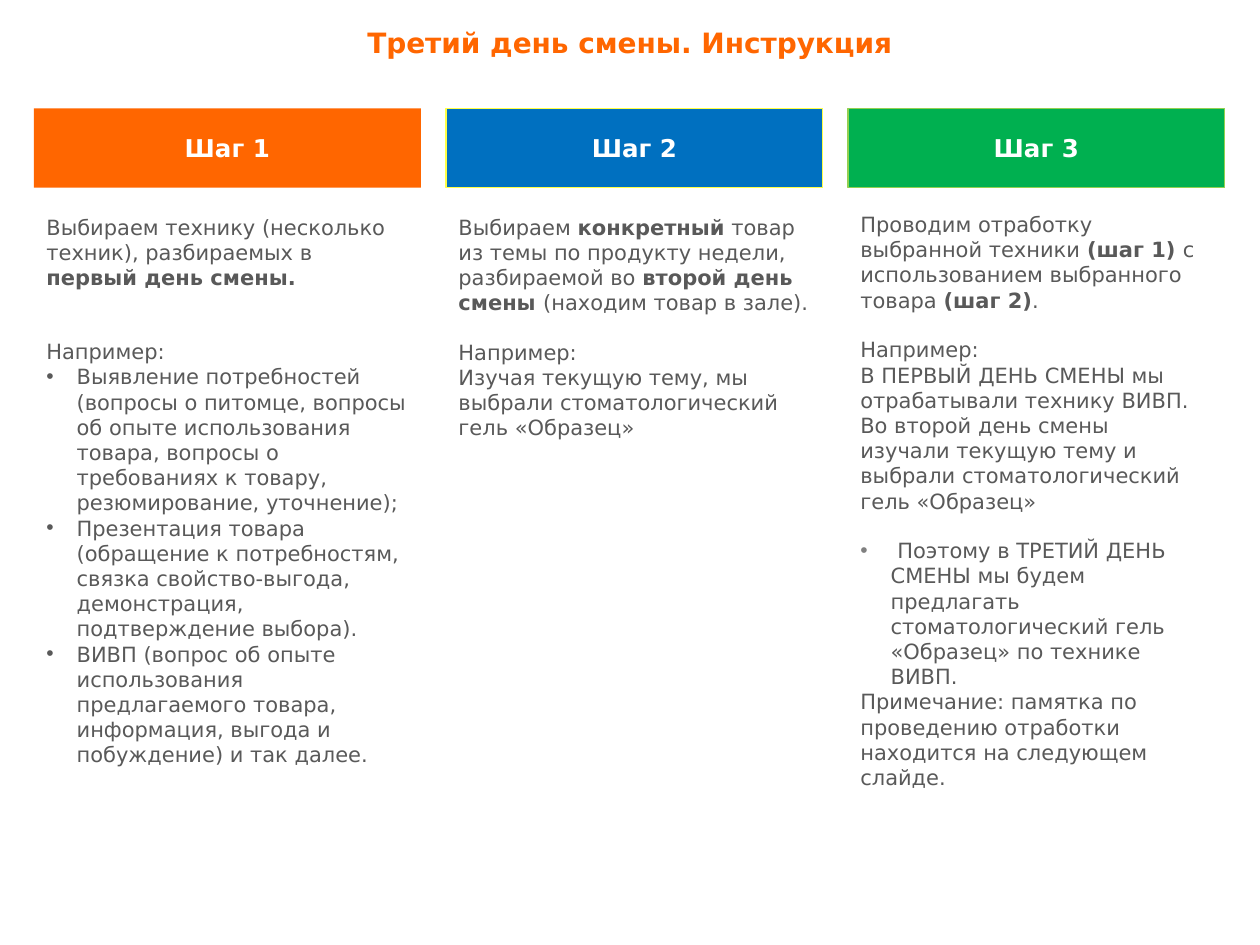
from lxml import etree
from pptx import Presentation
from pptx.dml.color import RGBColor
from pptx.enum import shapes, text
from pptx.oxml.ns import qn
from pptx.util import Inches, Pt

FONT = "DejaVu Sans"
ORANGE = RGBColor(0xFF, 0x66, 0x00)
BLUE = RGBColor(0x00, 0x70, 0xC0)
GREEN = RGBColor(0x00, 0xB0, 0x50)
YELLOW = RGBColor(0xFF, 0xFF, 0x47)
LIME = RGBColor(0x92, 0xD0, 0x50)
WHITE = RGBColor(0xFF, 0xFF, 0xFF)
DARK = RGBColor(0x59, 0x59, 0x59)
GRAY = RGBColor(0x80, 0x80, 0x80)

LINE = 14  # height of one body line, points
INDENT = Inches(0.24)

# A paragraph is (lines of space before, bullet colour, runs);
# the runs are plain and bold by turns.
STEP_1 = [
    (0, None, ["Выбираем технику (несколько техник), разбираемых в ",
               "первый день смены."]),
    (2, None, ["Например:"]),
    (0, DARK, ["Выявление потребностей (вопросы о питомце, вопросы об опыте "
               "использования товара, вопросы о требованиях к товару, "
               "резюмирование, уточнение);"]),
    (0, DARK, ["Презентация товара (обращение к потребностям, связка "
               "свойство-выгода, демонстрация, подтверждение выбора)."]),
    (0, DARK, ["ВИВП (вопрос об опыте использования предлагаемого товара, "
               "информация, выгода и побуждение) и так далее."]),
]
STEP_2 = [
    (0, None, ["Выбираем ", "конкретный",
               " товар из темы по продукту недели, разбираемой во ",
               "второй день смены ", "(находим товар в зале)."]),
    (1, None, ["Например:"]),
    (0, None, ["Изучая текущую тему, мы выбрали стоматологический гель "
               "«Образец»"]),
]
STEP_3 = [
    (0, None, ["Проводим отработку выбранной техники ", "(шаг 1) ",
               "с использованием выбранного товара ", "(шаг 2)", "."]),
    (1, None, ["Например:"]),
    (0, None, ["В ПЕРВЫЙ ДЕНЬ СМЕНЫ мы отрабатывали технику ВИВП. Во второй "
               "день смены изучали текущую тему и выбрали стоматологический "
               "гель «Образец»"]),
    (1, GRAY, [" Поэтому в ТРЕТИЙ ДЕНЬ СМЕНЫ мы будем предлагать "
               "стоматологический гель «Образец» по технике ВИВП."]),
    (0, None, ["Примечание: памятка по проведению отработки находится на "
               "следующем слайде."]),
]

# left, width, fill, outline, body top, body width, body height, paragraphs
STEPS = [
    (0.27, 3.07, ORANGE, None, 1.65, 3.07, 4.96, STEP_1),
    (3.54, 2.99, BLUE, YELLOW, 1.65, 2.99, 2.99, STEP_2),
    (6.73, 2.99, GREEN, LIME, 1.63, 2.91, 4.96, STEP_3),
]


def add_run(par, words, size, color, bold=False):
    run = par.add_run()
    run.text = words
    run.font.name = FONT
    run.font.size = Pt(size)
    run.font.bold = bold
    run.font.color.rgb = color


def add_bullet(par, color):
    props = par._p.get_or_add_pPr()
    props.set("marL", str(INDENT))
    props.set("indent", str(-INDENT))
    fill = etree.SubElement(props, qn("a:buClr"))
    etree.SubElement(fill, qn("a:srgbClr"), val=str(color))
    etree.SubElement(props, qn("a:buFont"), typeface="Arial")
    etree.SubElement(props, qn("a:buChar"), char="•")


def add_title(slide, left, top, width, height):
    box = slide.shapes.add_textbox(left, top, width, height)
    frame = box.text_frame
    frame.word_wrap = True
    par = frame.paragraphs[0]
    par.alignment = text.PP_ALIGN.CENTER
    add_run(par, "Третий день смены. Инструкция", 16, ORANGE, True)


def add_header(slide, left, top, width, height, label, fill, outline):
    box = slide.shapes.add_shape(
        shapes.MSO_SHAPE.RECTANGLE, left, top, width, height)
    box.shadow.inherit = False
    box.fill.solid()
    box.fill.fore_color.rgb = fill
    if outline is None:
        box.line.fill.background()
    else:
        box.line.color.rgb = outline
        box.line.width = Pt(0.75)
    frame = box.text_frame
    frame.word_wrap = True
    frame.vertical_anchor = text.MSO_ANCHOR.MIDDLE
    par = frame.paragraphs[0]
    par.alignment = text.PP_ALIGN.CENTER
    add_run(par, label, 14, WHITE, True)


def add_body(slide, left, top, width, height, pars):
    frame = slide.shapes.add_textbox(left, top, width, height).text_frame
    frame.word_wrap = True
    for i, (gap, bullet, runs) in enumerate(pars):
        par = frame.add_paragraph() if i else frame.paragraphs[0]
        if gap:
            par.space_before = Pt(gap * LINE)
        if bullet is not None:
            add_bullet(par, bullet)
        for j, words in enumerate(runs):
            add_run(par, words, 12, DARK, j % 2 == 1)


def main():
    deck = Presentation()
    deck.slide_width, deck.slide_height = Inches(10), Inches(7.5)
    slide = deck.slides.add_slide(deck.slide_layouts[6])
    add_title(slide, 0, Inches(0.15), deck.slide_width, Inches(0.37))
    for n, (x, wide, fill, outline, y, w, h, pars) in enumerate(STEPS, 1):
        add_header(slide, Inches(x), Inches(0.86), Inches(wide), Inches(0.63),
                   f"Шаг {n}", fill, outline)
        add_body(slide, Inches(x), Inches(y), Inches(w), Inches(h), pars)
    deck.save("out.pptx")


if __name__ == "__main__":
    main()
